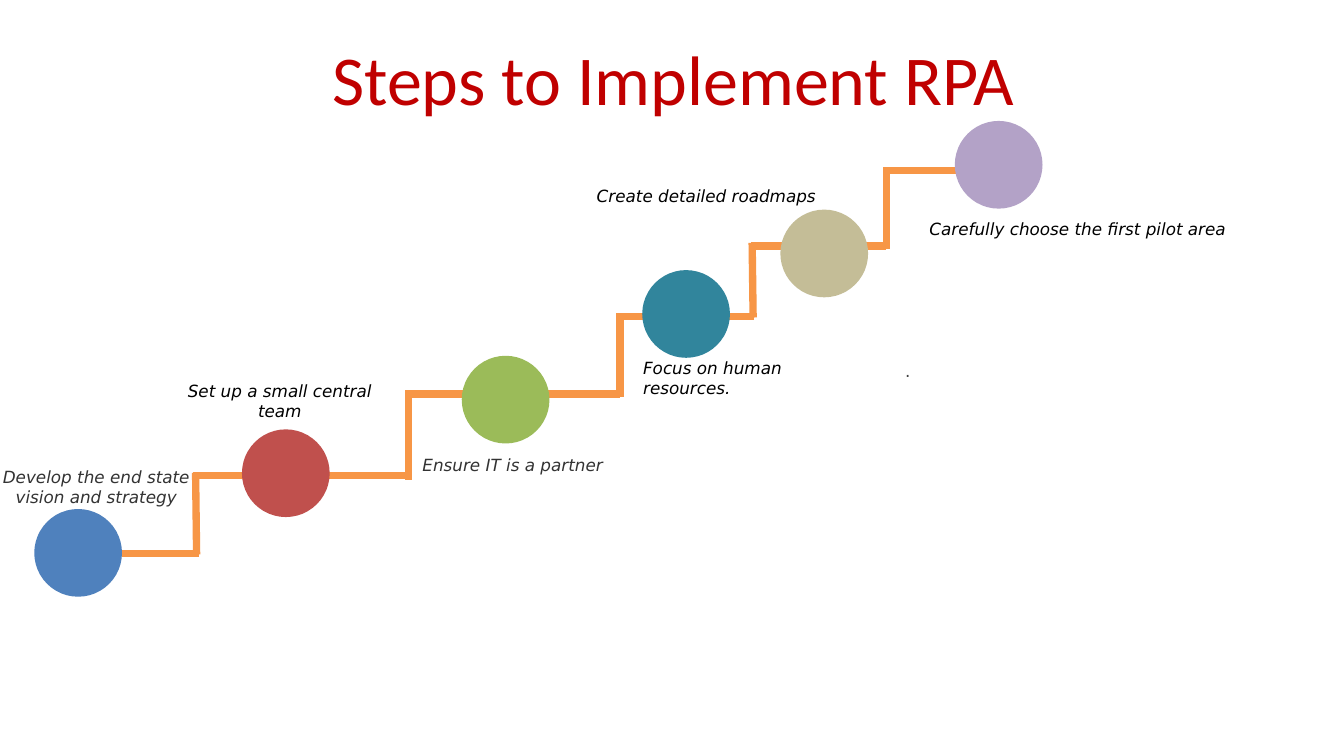
from typing import NamedTuple

from pptx import Presentation
from pptx.dml.color import RGBColor
from pptx.enum.shapes import MSO_CONNECTOR, MSO_SHAPE
from pptx.enum.text import MSO_ANCHOR, MSO_AUTO_SIZE, PP_ALIGN
from pptx.oxml.ns import qn
from pptx.slide import Slide
from pptx.util import Inches, Pt
from lxml.etree import SubElement

COLOURS = {
    "title": "C00000", "stair": "F79646", "black": "000000", "dark": "333333",
    "grey": "404040", "blue": "4F81BD", "red": "C0504D", "green": "9BBB59",
    "teal": "31859C", "tan": "C4BD97", "purple": "B3A2C7",
}
CIRCLE_SIZE = 0.87
STAIR_WIDTH = 5.25


class Stair(NamedTuple):
    x1: float
    y1: float
    x2: float
    y2: float


class Circle(NamedTuple):
    left: float
    top: float
    colour: str


class Label(NamedTuple):
    text: str
    left: float
    top: float
    width: float
    height: float
    colour: str = "black"
    align: PP_ALIGN = PP_ALIGN.CENTER
    italic: bool = True
    wrap: bool = True


STAIRS = [
    Stair(4.03, 3.91, 6.15, 3.91), Stair(4.05, 4.72, 1.91, 4.72),
    Stair(1.97, 5.49, 1.21, 5.49), Stair(7, 3.14, 6.14, 3.14),
    Stair(1.94, 4.69, 1.95, 5.5), Stair(4.05, 3.87, 4.05, 4.76),
    Stair(6.15, 3.11, 6.15, 3.94), Stair(8.77, 1.69, 10.11, 1.69),
    Stair(8.79, 2.44, 7.45, 2.44), Stair(7.48, 3.14, 7, 3.14),
    Stair(7.46, 2.41, 7.47, 3.15), Stair(8.79, 1.66, 8.79, 2.47),
]
CIRCLES = [
    Circle(0.34, 5.05, "blue"), Circle(2.4, 4.26, "red"),
    Circle(4.58, 3.53, "green"), Circle(6.37, 2.68, "teal"),
    Circle(7.74, 2.08, "tan"), Circle(9.47, 1.2, "purple"),
]
LABELS = [
    Label("Develop the end state vision and strategy", -0.29, 4.58, 2.49, 0.5, "dark"),
    Label("Set up a small central team", 1.53, 3.73, 2.49, 0.5),
    Label("Ensure IT is a partner", 3.84, 4.46, 2.49, 0.3, "dark"),
    Label("Focus on human resources.", 6.28, 3.5, 2.49, 0.5, align=PP_ALIGN.LEFT),
    Label(".", 7.76, 3.53, 2.49, 0.3, "grey", italic=False),
    Label("Create detailed roadmaps", 5.82, 1.79, 2.39, 0.3,
          align=PP_ALIGN.LEFT, wrap=False),
    Label("Carefully choose the first pilot area", 9.12, 2.12, 3.18, 0.3,
          align=PP_ALIGN.LEFT, wrap=False),
]


def colour(name: str) -> RGBColor:
    """Return the named colour."""
    return RGBColor.from_string(COLOURS[name])


def apply_format(target: object, values: dict) -> None:
    """Set each attribute of the target from the format values."""
    for name, value in values.items():
        setattr(target, name, value)


def write_text(shape: object, text: str, align: PP_ALIGN, font: dict,
               frame: dict, colour_name: str) -> None:
    """Write one formatted paragraph into the shape."""
    apply_format(shape.text_frame, frame)
    paragraph = shape.text_frame.paragraphs[0]
    paragraph.alignment = align
    run = paragraph.add_run()
    run.text = text
    apply_format(run.font, font)
    run.font.color.rgb = colour(colour_name)


def add_title(slide: Slide) -> None:
    """Place and fill the title placeholder."""
    title = slide.shapes.title
    apply_format(title, {"left": Inches(0.35), "top": Inches(0.37),
                         "width": Inches(12.66), "height": Inches(0.79)})
    write_text(title, "Steps to Implement RPA", PP_ALIGN.CENTER,
               {"name": "Calibri", "size": Pt(50)},
               {"vertical_anchor": MSO_ANCHOR.MIDDLE, "word_wrap": True,
                "auto_size": MSO_AUTO_SIZE.NONE}, "title")


def add_stair(slide: Slide, stair: Stair) -> None:
    """Draw one straight piece of the staircase."""
    connector = slide.shapes.add_connector(
        MSO_CONNECTOR.STRAIGHT, *(Inches(value) for value in stair))
    connector.line.color.rgb = colour("stair")
    connector.line.width = Pt(STAIR_WIDTH)
    SubElement(connector._element.spPr, qn("a:effectLst"))


def add_circle(slide: Slide, circle: Circle) -> None:
    """Draw the circle that marks one step."""
    shape = slide.shapes.add_shape(
        MSO_SHAPE.OVAL, Inches(circle.left), Inches(circle.top),
        Inches(CIRCLE_SIZE), Inches(CIRCLE_SIZE))
    shape.shadow.inherit = False
    shape.fill.solid()
    shape.fill.fore_color.rgb = colour(circle.colour)
    shape.line.fill.background()


def add_label(slide: Slide, label: Label) -> None:
    """Write the wording of one step."""
    box = slide.shapes.add_textbox(
        Inches(label.left), Inches(label.top), Inches(label.width), Inches(label.height))
    write_text(box, label.text, label.align,
               {"name": "DejaVu Sans", "size": Pt(12), "italic": label.italic},
               {"word_wrap": label.wrap, "auto_size": MSO_AUTO_SIZE.SHAPE_TO_FIT_TEXT},
               label.colour)


def main() -> None:
    """Build the slide and save it."""
    presentation = Presentation()
    apply_format(presentation, {"slide_width": Inches(13.33), "slide_height": Inches(7.5)})
    slide = presentation.slides.add_slide(presentation.slide_layouts[5])
    add_title(slide)
    for stair in STAIRS:
        add_stair(slide, stair)
    for circle in CIRCLES:
        add_circle(slide, circle)
    for label in LABELS:
        add_label(slide, label)
    presentation.save("out.pptx")


if __name__ == "__main__":
    main()
